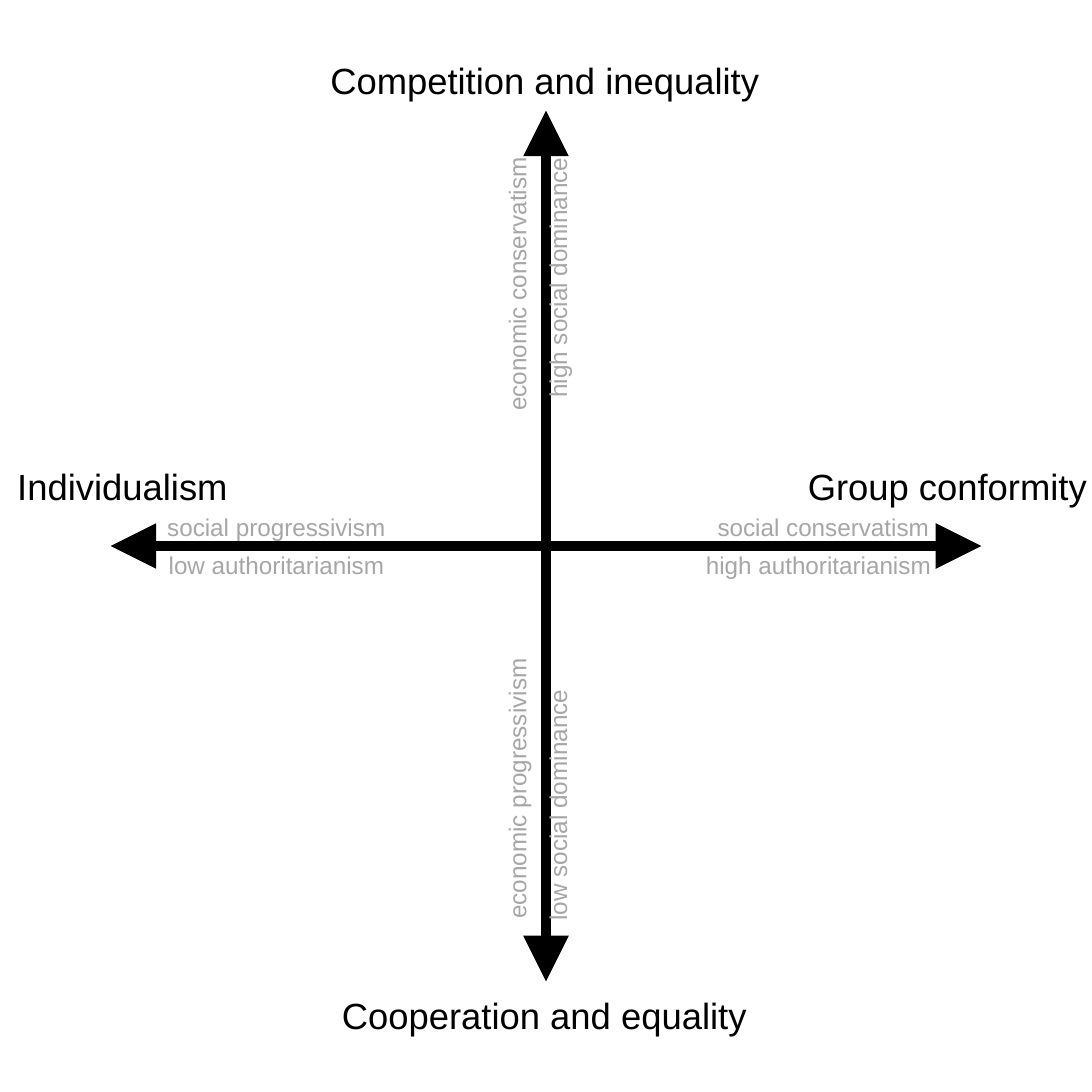
"""Draw a two-axis political compass with labelled poles."""
from dataclasses import dataclass

import lxml.etree
import pptx
import pptx.dml.color
import pptx.enum.shapes
import pptx.enum.text
import pptx.oxml.ns
import pptx.util

COLORS = {"black": "000000", "gray": "A6A6A6"}
SIZE = 7.5
CENTER = SIZE / 2
START, END = 0.76, SIZE - 0.76


@dataclass(frozen=True)
class Axis:
    x1: float
    y1: float
    x2: float
    y2: float


@dataclass(frozen=True)
class Label:
    text: str
    left: float
    top: float
    length: float


AXES = [
    Axis(CENTER, START, CENTER, END),
    Axis(END, CENTER, START, CENTER),
]
POLES = [
    Label("Competition and inequality", 2.17, 0.35, 3.18),
    Label("Cooperation and equality", 2.25, 6.77, 3.01),
    Label("Individualism", 0.02, 3.14, 1.66),
    Label("Group conformity", 5.45, 3.14, 2.14),
]
SOCIAL_TRAITS = [
    Label("social conservatism", 4.83, 3.47, 1.69),
    Label("social progressivism", 1.05, 3.47, 1.71),
    Label("low authoritarianism", 1.06, 3.73, 1.69),
    Label("high authoritarianism", 4.75, 3.73, 1.76),
]
ECONOMIC_TRAITS = [
    Label("economic conservatism", 3.4, 1.07, 1.85),
    Label("economic progressivism", 3.4, 4.51, 1.9),
    Label("high social dominance", 3.68, 1.07, 1.76),
    Label("low social dominance", 3.68, 4.73, 1.69),
]


def rgb(name: str) -> pptx.dml.color.RGBColor:
    return pptx.dml.color.RGBColor.from_string(COLORS[name])


def add_axis(s, axis: Axis) -> None:
    ends = (axis.x1, axis.y1, axis.x2, axis.y2)
    line = s.shapes.add_connector(
        pptx.enum.shapes.MSO_CONNECTOR.STRAIGHT, *map(pptx.util.Inches, ends)
    )
    line.line.color.rgb = rgb("black")
    line.line.width = pptx.util.Pt(4.5)
    ln = line.line._get_or_add_ln()
    for tag in ("a:headEnd", "a:tailEnd"):
        lxml.etree.SubElement(
            ln, pptx.oxml.ns.qn(tag), type="triangle", w="lg", len="lg"
        )
    lxml.etree.SubElement(line._element.spPr, pptx.oxml.ns.qn("a:effectLst"))


def add_label(s, label: Label, *, size: float = 12, color: str = "gray",
              thickness: float = 0.3, vertical: bool = False) -> None:
    extent = (thickness, label.length) if vertical else (label.length, thickness)
    sp = s.shapes.add_textbox(
        *map(pptx.util.Inches, (label.left, label.top, *extent))
    )
    tf = sp.text_frame
    tf.word_wrap = False
    tf.auto_size = pptx.enum.text.MSO_AUTO_SIZE.SHAPE_TO_FIT_TEXT
    if vertical:
        tf._txBody.bodyPr.set("vert", "vert270")
    r = tf.paragraphs[0].add_run()
    r.text = label.text
    r.font.name = "Arial"
    r.font.size = pptx.util.Pt(size)
    r.font.color.rgb = rgb(color)


def main() -> None:
    prs = pptx.Presentation()
    prs.slide_width = prs.slide_height = pptx.util.Inches(SIZE)
    s = prs.slides.add_slide(prs.slide_layouts[6])
    for axis in AXES:
        add_axis(s, axis)
    for label in POLES:
        add_label(s, label, size=18, color="black", thickness=0.4)
    for label in SOCIAL_TRAITS:
        add_label(s, label)
    for label in ECONOMIC_TRAITS:
        add_label(s, label, thickness=0.4, vertical=True)
    prs.save("out.pptx")


if __name__ == "__main__":
    main()
